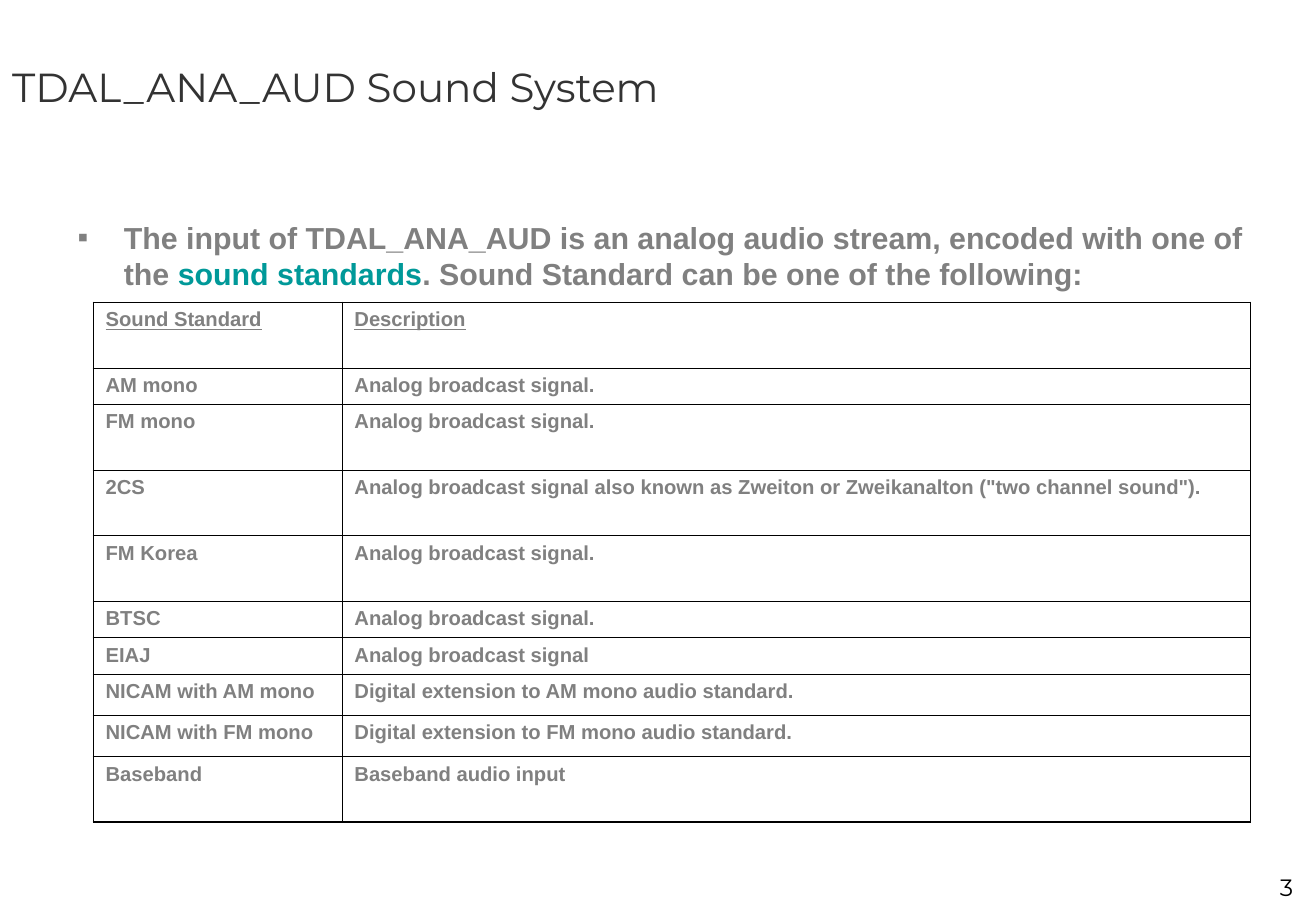
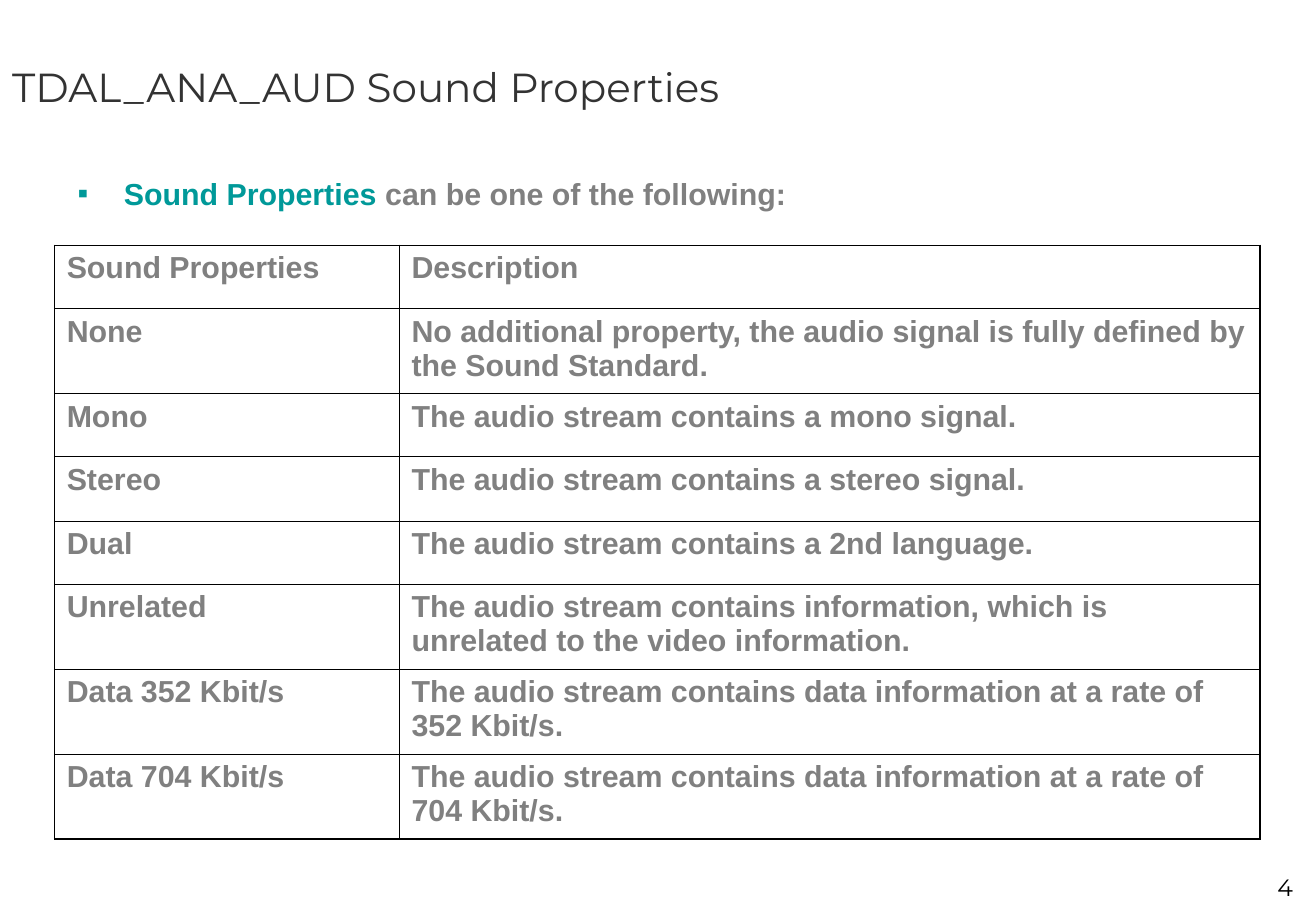
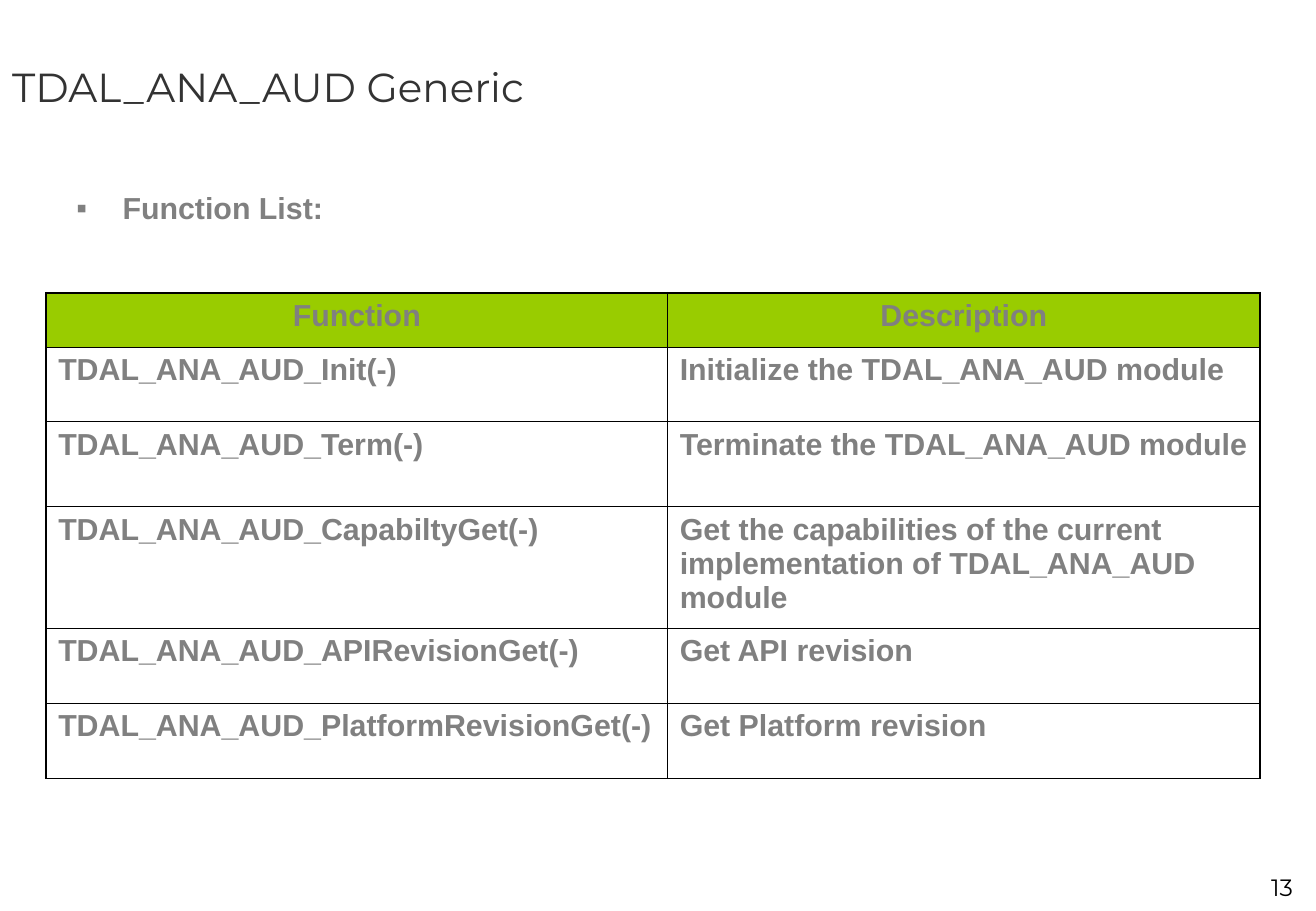
"""Build three slides on the TDAL_ANA_AUD sound standards, properties and functions."""
from lxml.etree import SubElement
from pptx import Presentation
from pptx.dml.color import RGBColor as Rgb
from pptx.enum.text import MSO_ANCHOR as Anchor, MSO_AUTO_SIZE as AutoSize, PP_ALIGN as Align
from pptx.oxml.ns import qn
from pptx.util import Inches, Pt

COLORS = {"title": "333333", "text": "808080", "accent": "009999",
          "line": "000000", "header": "99CC00"}
TITLE = {"name": "Montserrat", "size": Pt(24), "bold": False}
BODY = {"name": "Arial", "size": Pt(18), "bold": True}
SMALL = {"name": "Arial", "size": Pt(12), "bold": True}
NUMBER = {"name": "Montserrat", "size": Pt(14)}
OUTER, INNER = Pt(1.08), Pt(0.45)
INDENT = Inches(0.38)

PAGES = [
    {
        "title": "TDAL_ANA_AUD Sound System",
        "number": "3",
        "body": (0.54, 1.75, 9.99, 1.13),
        "bullet": [
            ("The input of TDAL_ANA_AUD is an analog audio stream, encoded with one of the ", "text"),
            ("sound standards", "accent"),
            (". Sound Standard can be one of the following:", "text"),
        ],
        "corner": (0.77, 2.49),
        "columns": [2.05, 7.48],
        "heights": [0.54, 0.3, 0.54, 0.54, 0.54, 0.3, 0.3, 0.34, 0.34, 0.54],
        "font": SMALL,
        "before": Pt(3),
        "header": {"underline": True},
        "rows": [
            ("Sound Standard", "Description"),
            ("AM mono", "Analog broadcast signal."),
            ("FM mono", "Analog broadcast signal."),
            ("2CS", 'Analog broadcast signal also known as Zweiton or Zweikanalton ("two channel sound").'),
            ("FM Korea", "Analog broadcast signal."),
            ("BTSC", "Analog broadcast signal."),
            ("EIAJ", "Analog broadcast signal"),
            ("NICAM with AM mono", "Digital extension to AM mono audio standard."),
            ("NICAM with FM mono", "Digital extension to FM mono audio standard."),
            ("Baseband", "Baseband audio input"),
        ],
    },
    {
        "title": "TDAL_ANA_AUD Sound Properties",
        "number": "4",
        "body": (0.54, 1.39, 9.84, 0.6),
        "bullet": [("Sound Properties", "accent"), (" can be one of the following:", "text")],
        "corner": (0.45, 2.02),
        "columns": [2.84, 7.09],
        "heights": [0.52, 0.7, 0.52, 0.53, 0.52, 0.7, 0.7, 0.7],
        "font": BODY,
        "before": Pt(4.5),
        "header": {},
        "rows": [
            ("Sound Properties", "Description"),
            ("None", "No additional property, the audio signal is fully defined by the Sound Standard."),
            ("Mono", "The audio stream contains a mono signal."),
            ("Stereo", "The audio stream contains a stereo signal."),
            ("Dual", "The audio stream contains a 2nd language."),
            ("Unrelated", "The audio stream contains information, which is unrelated to the video information."),
            ("Data 352 Kbit/s", "The audio stream contains data information at a rate of 352 Kbit/s."),
            ("Data 704 Kbit/s", "The audio stream contains data information at a rate of 704 Kbit/s."),
        ],
    },
    {
        "title": "TDAL_ANA_AUD Generic",
        "number": "13",
        "body": (0.53, 1.51, 9.91, 0.6),
        "bullet": [("Function List:", "text")],
        "corner": (0.38, 2.41),
        "columns": [5.12, 4.88],
        "heights": [0.45, 0.61, 0.7, 1, 0.62, 0.62],
        "font": BODY,
        "before": Pt(4.5),
        "header": {},
        "header_fill": "header",
        "rows": [
            ("Function", "Description"),
            ("TDAL_ANA_AUD_Init(-)", "Initialize the TDAL_ANA_AUD module"),
            ("TDAL_ANA_AUD_Term(-)", "Terminate the TDAL_ANA_AUD module"),
            ("TDAL_ANA_AUD_CapabiltyGet(-)",
             "Get the capabilities of the current implementation of TDAL_ANA_AUD module"),
            ("TDAL_ANA_AUD_APIRevisionGet(-)", "Get API revision"),
            ("TDAL_ANA_AUD_PlatformRevisionGet(-)", "Get Platform revision"),
        ],
    },
]


def add_span(para, text, values, color):
    span = para.add_run()
    span.text = text
    for name, value in values.items():
        setattr(span.font, name, value)
    span.font.color.rgb = Rgb.from_string(COLORS[color])


def place(box, left, top, width, height):
    box.left, box.top = Inches(left), Inches(top)
    box.width, box.height = Inches(width), Inches(height)


deck = Presentation()
deck.slide_width, deck.slide_height = Inches(10.84), Inches(7.5)

for page in PAGES:
    slide = deck.slides.add_slide(deck.slide_layouts[1])

    title = slide.shapes.title
    place(title, 0, 0, 10.83, 1.42)
    title.text_frame.vertical_anchor = Anchor.MIDDLE
    title.text_frame.auto_size = AutoSize.NONE
    para = title.text_frame.paragraphs[0]
    para.alignment = Align.LEFT
    add_span(para, page["title"], TITLE, "title")

    body = slide.placeholders[1]
    place(body, *page["body"])
    body.text_frame.auto_size = AutoSize.NONE
    para = body.text_frame.paragraphs[0]
    para.space_before = Pt(4.5)
    props = para._p.get_or_add_pPr()
    props.set("marL", str(INDENT))
    props.set("indent", str(-INDENT))
    bullet_color = SubElement(props, qn("a:buClr"))
    SubElement(bullet_color, qn("a:srgbClr"), val=COLORS[page["bullet"][0][1]])
    SubElement(props, qn("a:buFont"), typeface="Arial")
    SubElement(props, qn("a:buChar"), char="▪")
    for text, color in page["bullet"]:
        add_span(para, text, BODY, color)

    rows, columns, heights = page["rows"], page["columns"], page["heights"]
    last_row, last_column = len(rows) - 1, len(columns) - 1
    left, top = page["corner"]
    table = slide.shapes.add_table(len(rows), len(columns), Inches(left), Inches(top),
                                   Inches(sum(columns)), Inches(sum(heights))).table
    table.first_row = table.horz_banding = False
    for column, width in zip(table.columns, columns):
        column.width = Inches(width)
    for row, height in zip(table.rows, heights):
        row.height = Inches(height)

    for row_index, row in enumerate(rows):
        for column_index, text in enumerate(row):
            cell = table.cell(row_index, column_index)
            is_header = row_index == 0
            para = cell.text_frame.paragraphs[0]
            para.space_before = page["before"]
            values = {**page["font"], **(page["header"] if is_header else {})}
            add_span(para, text, values, "text")

            edges = {"lnL": column_index == 0, "lnR": column_index == last_column,
                     "lnT": is_header, "lnB": row_index == last_row}
            for tag, is_outer in edges.items():
                line = SubElement(cell._tc.get_or_add_tcPr(), qn(f"a:{tag}"),
                                  w=str(OUTER if is_outer else INNER))
                fill = SubElement(line, qn("a:solidFill"))
                SubElement(fill, qn("a:srgbClr"), val=COLORS["line"])

            if is_header and "header_fill" in page:
                para.alignment = Align.CENTER
                cell.fill.solid()
                cell.fill.fore_color.rgb = Rgb.from_string(COLORS[page["header_fill"]])
            else:
                cell.fill.background()

    number = slide.shapes.add_textbox(Inches(9.59), Inches(7.14), Inches(1.16), Inches(0.33))
    number.text_frame.word_wrap = True
    para = number.text_frame.paragraphs[0]
    para.alignment = Align.RIGHT
    add_span(para, page["number"], NUMBER, "line")

deck.save("out.pptx")
